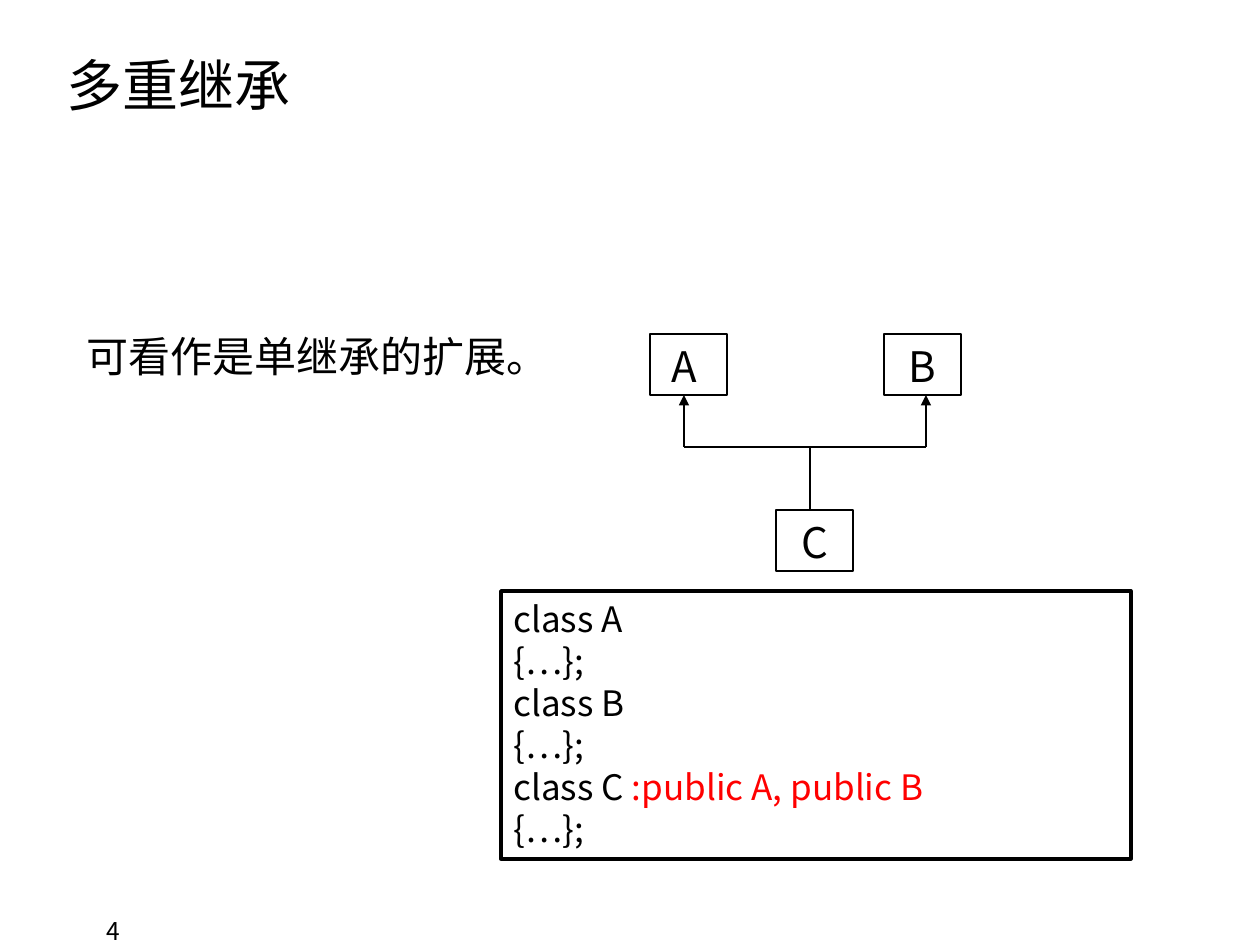
import pptx
import pptx.dml.color
import pptx.enum.shapes
import pptx.enum.text
import pptx.oxml.ns
import pptx.util
from lxml import etree

PX = pptx.util.Inches(1) // 126
FONT = "Noto Sans CJK SC"
COLORS = {"black": "000000", "white": "FFFFFF", "red": "FF0000"}
LEFT = pptx.enum.text.PP_ALIGN.LEFT
CENTER = pptx.enum.text.PP_ALIGN.CENTER
TOP = pptx.enum.text.MSO_ANCHOR.TOP
MIDDLE = pptx.enum.text.MSO_ANCHOR.MIDDLE

CLASS_WIDTH, CLASS_HEIGHT = 77, 61
PARENT_TOP, CHILD_TOP = 334, 510
PARENT_BOTTOM = PARENT_TOP + CLASS_HEIGHT
LEFT_ARROW, STEM, RIGHT_ARROW, BRANCH = 684, 810, 926, 447


def rgb(name):
    return pptx.dml.color.RGBColor.from_string(COLORS[name])


def add_run(paragraph, text, size, color):
    run = paragraph.add_run()
    run.text = text
    run.font.size = pptx.util.Pt(size)
    run.font.name = FONT
    run.font.color.rgb = rgb(color)
    east_asian = etree.SubElement(run.font._element, pptx.oxml.ns.qn("a:ea"))
    east_asian.set("typeface", FONT)


def write_text(shape, *lines, size=24, align=LEFT, anchor=TOP, wrap=True, line_height=1.2):
    """Write lines, each a list of (text, color) runs, as one paragraph."""
    frame = shape.text_frame
    frame.word_wrap = wrap
    frame.vertical_anchor = anchor
    paragraph = frame.paragraphs[0]
    paragraph.alignment = align
    if line_height:
        paragraph.line_spacing = pptx.util.Pt(round(size * line_height))
    for index, line in enumerate(lines):
        if index:
            paragraph.add_line_break()
        for text, color in line:
            add_run(paragraph, text, size, color)


def add_label(slide, text, left, top, width, height, **text_format):
    box = slide.shapes.add_textbox(left * PX, top * PX, width * PX, height * PX)
    write_text(box, [(text, "black")], **text_format)


def add_box(slide, left, top, width, height, line_width=0.75, fill="white"):
    box = slide.shapes.add_shape(
        pptx.enum.shapes.MSO_SHAPE.RECTANGLE, left * PX, top * PX, width * PX, height * PX)
    box.shadow.inherit = False
    if fill:
        box.fill.solid()
        box.fill.fore_color.rgb = rgb(fill)
    else:
        box.fill.background()
    box.line.color.rgb = rgb("black")
    box.line.width = pptx.util.Pt(line_width)
    return box


def add_class(slide, name, left, top, align=CENTER):
    box = add_box(slide, left, top, CLASS_WIDTH, CLASS_HEIGHT)
    write_text(box, [(name, "black")], align=align)


def add_line(slide, start, end, arrow=False):
    """Draw a straight line; an arrow points at its end."""
    line = slide.shapes.add_connector(
        pptx.enum.shapes.MSO_CONNECTOR.STRAIGHT, *(value * PX for value in start + end))
    line.line.color.rgb = rgb("black")
    line.line.width = pptx.util.Pt(0.75)
    if arrow:
        outline = line.line._get_or_add_ln()
        etree.SubElement(outline, pptx.oxml.ns.qn("a:tailEnd")).set("type", "triangle")
    etree.SubElement(line._element.spPr, pptx.oxml.ns.qn("a:effectLst"))


def add_code(slide):
    box = add_box(slide, 501, 591, 630, 268, line_width=2, fill=None)
    body = [("{…};", "black")]
    write_text(
        box,
        [("class A", "black")], body,
        [("class B", "black")], body,
        [("class C ", "black"), (":public A, public B", "red")], body,
        size=20)


def add_inheritance_diagram(slide):
    add_class(slide, " A", 650, PARENT_TOP, align=LEFT)
    add_class(slide, "B", 884, PARENT_TOP)
    add_class(slide, "C", 776, CHILD_TOP)
    add_line(slide, (STEM, CHILD_TOP), (STEM, BRANCH))
    add_line(slide, (LEFT_ARROW, BRANCH), (RIGHT_ARROW, BRANCH))
    for x in (LEFT_ARROW, RIGHT_ARROW):
        add_line(slide, (x, BRANCH), (x, PARENT_BOTTOM), arrow=True)


def main():
    presentation = pptx.Presentation()
    presentation.slide_width = 1260 * PX
    presentation.slide_height = 945 * PX
    slide = presentation.slides.add_slide(presentation.slide_layouts[6])
    add_label(slide, "4", 94, 910, 262, 35, size=14)
    add_label(slide, "多重继承", 54, 45, 1142, 79, size=32, anchor=MIDDLE, line_height=None)
    add_code(slide)
    add_inheritance_diagram(slide)
    add_label(slide, "可看作是单继承的扩展。", 74, 324, 491, 63, wrap=False)
    presentation.save("out.pptx")


if __name__ == "__main__":
    main()
